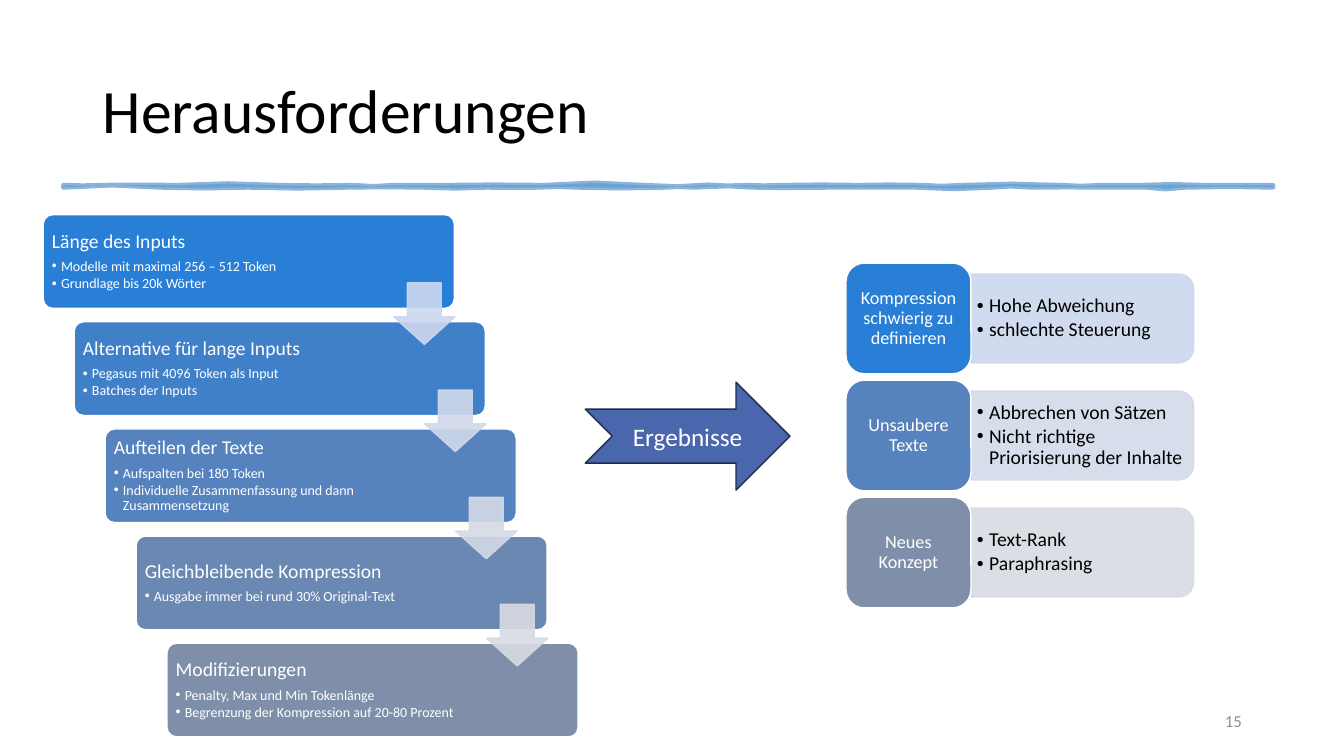
from dataclasses import dataclass

from lxml import etree
from pptx import Presentation
from pptx.dml.color import RGBColor
from pptx.enum.shapes import MSO_SHAPE
from pptx.enum.text import MSO_ANCHOR, PP_ALIGN
from pptx.oxml.ns import qn
from pptx.util import Cm, Pt

ROUNDED = MSO_SHAPE.ROUNDED_RECTANGLE
ROUNDED_TOP = MSO_SHAPE.ROUND_2_SAME_RECTANGLE
DOWN_ARROW = MSO_SHAPE.DOWN_ARROW
NOTCHED_ARROW = MSO_SHAPE.NOTCHED_RIGHT_ARROW
MIDDLE = MSO_ANCHOR.MIDDLE
LEFT, CENTER, RIGHT = PP_ALIGN.LEFT, PP_ALIGN.CENTER, PP_ALIGN.RIGHT

TITLE = "Herausforderungen"
RESULT_LABEL = "Ergebnisse"
PAGE_NUMBER = "15"

STEPS = [
    ("Länge des Inputs", ["Modelle mit maximal 256 – 512 Token", "Grundlage bis 20k Wörter"]),
    ("Alternative für lange Inputs", ["Pegasus mit 4096 Token als Input", "Batches der Inputs"]),
    ("Aufteilen der Texte",
     ["Aufspalten bei 180 Token", "Individuelle Zusammenfassung und dann Zusammensetzung"]),
    ("Gleichbleibende Kompression", ["Ausgabe immer bei rund 30% Original-Text"]),
    ("Modifizierungen",
     ["Penalty, Max und Min Tokenlänge", "Begrenzung der Kompression auf 20-80 Prozent"]),
]

RESULTS = [
    ("Kompression schwierig zu definieren", ["Hohe Abweichung", "schlechte Steuerung"]),
    ("Unsaubere Texte", ["Abbrechen von Sätzen", "Nicht richtige Priorisierung der Inhalte"]),
    ("Neues Konzept", ["Text-Rank", "Paraphrasing"]),
]

BRUSH_START = (1.6, 4.67)
BRUSH_TOP = [
    (2.59, 0, 0.03), (4.5, -0.05, 0.03), (7.01, -0.03, -0.08), (8.92, 0.08, -0.05),
    (9.91, 0.05, 0.03), (11.2, -0.03, 0.03), (13.72, -0.03, 0), (16.23, -0.03, -0.13),
    (18.75, 0.13, 0), (19.74, 0, 0.03), (21.64, -0.03, 0), (23.24, 0, -0.03),
    (24.23, 0.03, 0.03), (26.75, -0.05, -0.03), (27.74, 0.03, 0.03), (28.73, -0.03, 0.03),
    (30.33, -0.03, -0.03), (32.08, 0.03, -0.03),
]
BRUSH_BOTTOM = [
    (29.87, 0.03, -0.08), (28.88, 0.08, 0.03), (27.89, -0.03, 0.03), (25.98, -0.05, 0.03),
    (24.99, -0.03, -0.05), (23.09, 0.05, 0.05), (20.88, -0.05, 0.05), (18.97, -0.05, 0.08),
    (16.76, -0.08, -0.08), (14.55, 0.05, 0), (13.56, 0, -0.05), (12.27, 0.05, -0.03),
    (10.67, 0.03, 0.03), (8.76, 0, -0.03), (6.25, 0.03, 0.03), (4.04, -0.03, 0.08),
    (1.6, -0.1, -0.05),
]


@dataclass(frozen=True)
class Theme:
    font: str = "Calibri"
    text: str = "000000"
    light: str = "FFFFFF"
    muted: str = "8C8C8C"
    brush: str = "629DD1"
    arrow: str = "4A66AC"
    arrow_edge: str = "202D4B"
    steps: tuple = ("297FD5", "4080C9", "5683BD", "6B88B2", "7F8FA9")
    step_arrows: tuple = ("CDD8EF", "D1D9EB", "D4DAE6", "D8DBE2")
    tabs: tuple = ("297FD5", "5683BD", "7F8FA9")
    panels: tuple = ("CDD8EF", "D2DAE9", "D8DBE2")
    title_size: float = 44
    label_size: float = 18
    heading_size: float = 14
    tab_size: float = 13
    number_size: float = 12
    detail_size: float = 10


THEME = Theme()


def paint(shape, fill, line, width=1, opacity=100):
    shape.shadow.inherit = False
    shape.fill.solid()
    shape.fill.fore_color.rgb = RGBColor.from_string(fill)
    shape.line.color.rgb = RGBColor.from_string(line)
    shape.line.width = Pt(width)
    if opacity < 100:
        for color in shape._element.spPr.iter(qn("a:srgbClr")):
            etree.SubElement(color, qn("a:alpha")).set("val", str(opacity * 1000))


def add_block(slide, preset, box, fill, line, opacity=100, adjustments=()):
    shape = slide.shapes.add_shape(preset, *map(Cm, box))
    paint(shape, fill, line, opacity=opacity)
    for index, value in enumerate(adjustments):
        shape.adjustments[index] = value
    return shape


def set_bullet(paragraph, indent):
    properties = paragraph._p.get_or_add_pPr()
    properties.set("marL", str(Cm(indent)))
    properties.set("indent", str(-Cm(indent)))
    etree.SubElement(properties, qn("a:buFont")).set("typeface", "Arial")
    etree.SubElement(properties, qn("a:buChar")).set("char", "•")


def write(shape, lines, color, align=LEFT, insets=(0.25, 0.13, 0.25, 0.13), spacing=0.9):
    frame = shape.text_frame
    frame.word_wrap = True
    frame.vertical_anchor = MIDDLE
    frame.margin_left, frame.margin_top, frame.margin_right, frame.margin_bottom = map(Cm, insets)
    frame.text = "\n".join(text for text, *_ in lines)
    for paragraph, (_, size, space_after, indent) in zip(frame.paragraphs, lines):
        paragraph.alignment = align
        paragraph.line_spacing = spacing
        paragraph.space_after = Pt(space_after)
        if indent:
            set_bullet(paragraph, indent)
        for run in paragraph.runs:
            run.font.name = THEME.font
            run.font.size = Pt(size)
            run.font.color.rgb = RGBColor.from_string(color)


def add_text(slide, box, lines, color, **options):
    write(slide.shapes.add_textbox(*map(Cm, box)), lines, color, **options)


def curve_points(start, segments, samples=2):
    x, y = start
    points = []
    for end, first_bend, second_bend in segments:
        for step in range(1, samples + 1):
            t = step / samples
            bend = 3 * t * (1 - t) * ((1 - t) * first_bend + t * second_bend)
            points.append((Cm(x + (end - x) * t), Cm(y + bend)))
        x = end
    return points


def add_brush_line(slide):
    left, top = BRUSH_START
    right, bottom = BRUSH_TOP[-1][0], top + 0.05
    builder = slide.shapes.build_freeform(Cm(left), Cm(top))
    builder.add_line_segments(curve_points(BRUSH_START, BRUSH_TOP), close=False)
    builder.add_line_segments(
        [(Cm(right), Cm(bottom))] + curve_points((right, bottom), BRUSH_BOTTOM), close=True)
    paint(builder.convert_to_shape(), THEME.brush, THEME.brush, width=3.5, opacity=75)


def add_steps(slide):
    left, top, shift, pitch = 1.09, 5.41, 0.78, 2.7
    for index, (heading, details) in enumerate(STEPS):
        box = (left + index * shift, top + index * pitch, 10.36, 2.36)
        block = add_block(slide, ROUNDED, box, THEME.steps[index], THEME.light, adjustments=(0.1,))
        lines = [(heading, THEME.heading_size, 4.9, 0)]
        lines += [(detail, THEME.detail_size, 1.5, 0.23) for detail in details]
        write(block, lines, THEME.light, insets=(0.15, 0.15, 2.5, 0.15))
    for index, color in enumerate(THEME.step_arrows):
        box = (left + 8.83 + index * shift, top + 1.72 + index * pitch, 1.55, 1.55)
        add_block(slide, DOWN_ARROW, box, color, color, opacity=90, adjustments=(0.55, 0.45))


def add_results(slide):
    left, top, pitch = 21.32, 6.63, 2.95
    tab_width, tab_height = 3.15, 2.79
    panel_width, panel_height = 5.61, 2.24
    panel_left = left + tab_width
    turn = (panel_width - panel_height) / 2
    for index, (heading, details) in enumerate(RESULTS):
        row = top + index * pitch
        panel_top = row + (tab_height - panel_height) / 2
        color = THEME.panels[index]
        panel_box = (panel_left + turn, panel_top - turn, panel_height, panel_width)
        panel = add_block(slide, ROUNDED_TOP, panel_box, color, color, opacity=90)
        panel.rotation = 90
        add_text(slide, (panel_left, panel_top, 5.49, panel_height),
                 [(detail, THEME.heading_size, 2.1, 0.31) for detail in details],
                 THEME.text, insets=(0.15, 0.08, 0.15, 0.08))
        tab = add_block(slide, ROUNDED, (left, row, tab_width, tab_height),
                        THEME.tabs[index], THEME.light)
        write(tab, [(heading, THEME.tab_size, 0, 0)], THEME.light, align=CENTER,
              insets=(0.12, 0.08, 0.12, 0.08))


def main():
    presentation = Presentation()
    presentation.slide_width, presentation.slide_height = Cm(33.87), Cm(19.05)
    slide = presentation.slides.add_slide(presentation.slide_layouts[6])
    add_brush_line(slide)
    add_text(slide, (23.93, 17.65, 7.62, 1.02), [(PAGE_NUMBER, THEME.number_size, 0, 0)],
             THEME.muted, align=RIGHT, spacing=1.0)
    add_text(slide, (2.34, 1.02, 29.21, 3.68), [(TITLE, THEME.title_size, 0, 0)], THEME.text)
    arrow = add_block(slide, NOTCHED_ARROW, (14.75, 9.63, 5.16, 2.72),
                      THEME.arrow, THEME.arrow_edge)
    write(arrow, [(RESULT_LABEL, THEME.label_size, 0, 0)], THEME.light,
          align=CENTER, spacing=1.0)
    add_results(slide)
    add_steps(slide)
    presentation.save("out.pptx")


if __name__ == "__main__":
    main()
